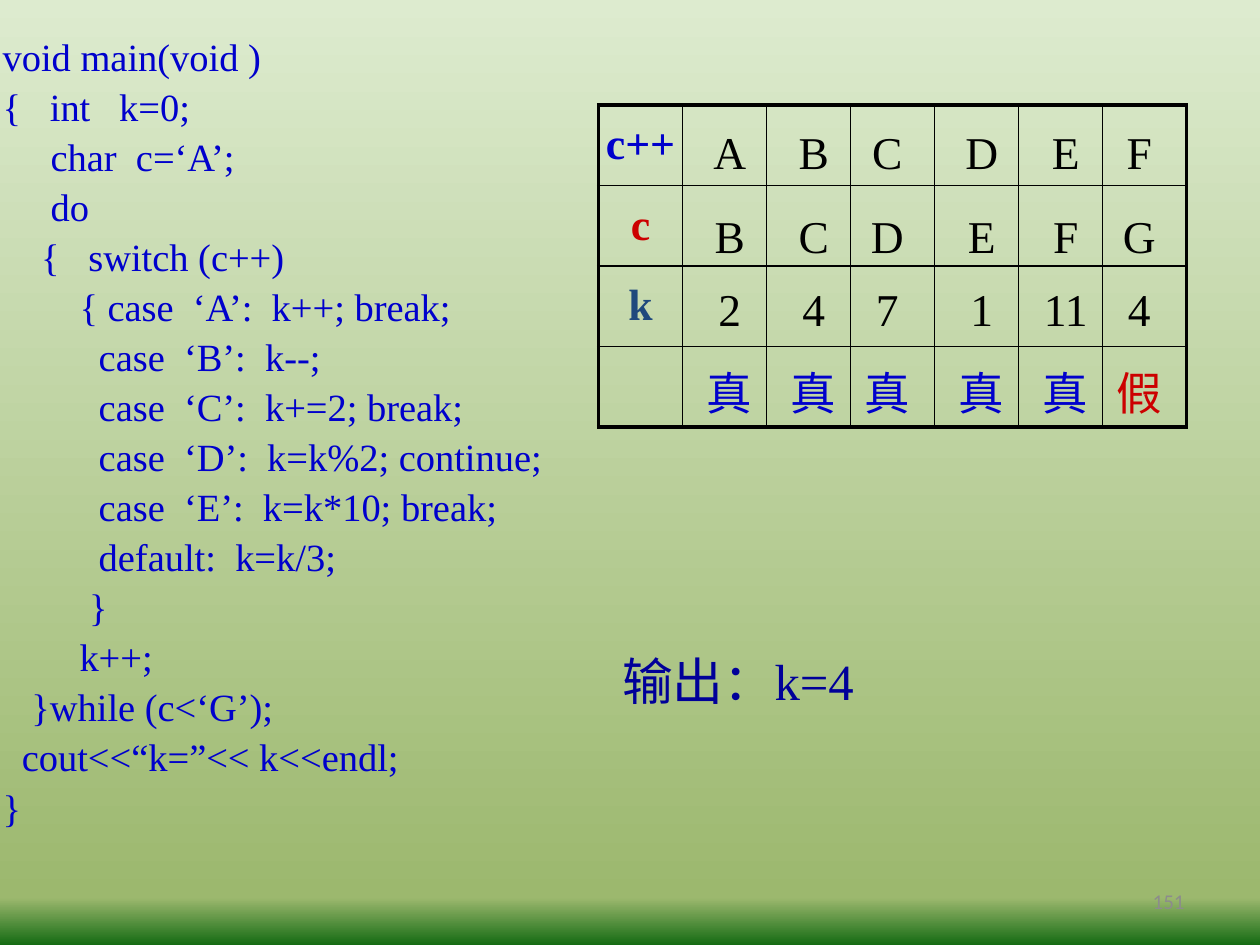
from copy import deepcopy
from dataclasses import dataclass

from lxml.etree import SubElement
from pptx import Presentation
from pptx.dml.color import RGBColor
from pptx.enum.text import MSO_ANCHOR, PP_ALIGN
from pptx.oxml.ns import qn
from pptx.util import Pt


@dataclass(frozen=True)
class Theme:
    serif: str = "Times New Roman"
    sans: str = "Calibri"
    blue: str = "0000CC"
    navy: str = "000099"
    steel: str = "1F497D"
    red: str = "CC0000"
    black: str = "000000"
    grey: str = "8C8C8C"
    backdrop: tuple = ((0, "DDEBCF"), (0.95, "9CB86E"), (1, "156B13"))
    code_size: float = 22
    code_pitch: float = 28.6
    label_size: float = 25
    value_size: float = 26
    answer_size: float = 29
    number_size: float = 12
    tall_line: float = 1.35
    thin: float = 1
    thick: float = 2.25


THEME = Theme()

CODE = """void main(void )
{   int   k=0;
     char  c=‘A’;
     do
    {   switch (c++)
        { case  ‘A’:  k++; break;
          case  ‘B’:  k--;
          case  ‘C’:  k+=2; break;
          case  ‘D’:  k=k%2; continue;
          case  ‘E’:  k=k*10; break;
          default:  k=k/3;
         }
        k++;
   }while (c<‘G’);
  cout<<“k=”<< k<<endl;
}"""

ROW_LABELS = (("c++", THEME.blue), ("c", THEME.red), ("k", THEME.steel), ("", THEME.black))
TRACE = (
    ("A", "B", "C", "D", "E", "F"),
    ("B", "C", "D", "E", "F", "G"),
    ("2", "4", "7", "1", "11", "4"),
    ("真", "真", "真", "真", "真", "假"),
)
VERDICT_COLOURS = {"真": THEME.blue, "假": THEME.red}
VALUE_LEFTS = (402, 450, 492, 546, 594, 636)
VALUE_TOPS = (66, 114, 156, 204)


def add_span(para, text, size, colour, font=THEME.serif, bold=False):
    span = para.add_run()
    span.text = text
    span.font.name = font
    span.font.size = Pt(size)
    span.font.bold = bold
    span.font.color.rgb = RGBColor.from_string(colour)


def add_frame(page, box, inset_x=1.5, inset_y=0.75):
    frame = page.shapes.add_textbox(*map(Pt, box)).text_frame
    frame.word_wrap = True
    frame.margin_left = frame.margin_right = Pt(inset_x)
    frame.margin_top = frame.margin_bottom = Pt(inset_y)
    return frame


def add_tall_line(page, box, text, size, colour, align):
    para = add_frame(page, box).paragraphs[0]
    para.alignment = align
    para.line_spacing = Pt(round(size * THEME.tall_line, 1))
    add_span(para, text, size, colour)


def paint_background(page):
    fill = page.background.fill
    fill.gradient()
    fill.gradient_angle = 270
    stop_list = page.element.find(".//" + qn("a:gsLst"))
    stop_list.append(deepcopy(stop_list[0]))
    for stop, (position, colour) in zip(fill.gradient_stops, THEME.backdrop):
        stop.position = position
        stop.color.rgb = RGBColor.from_string(colour)


def add_code(page, box):
    frame = add_frame(page, box)
    for index, line in enumerate(CODE.splitlines()):
        para = frame.add_paragraph() if index else frame.paragraphs[0]
        if index:
            para.line_spacing = Pt(THEME.code_pitch)
        add_span(para, line, THEME.code_size, THEME.blue)


def draw_borders(cell, widths):
    properties = cell._tc.get_or_add_tcPr()
    for side, width in widths.items():
        line = SubElement(properties, qn("a:ln" + side), w=str(int(Pt(width))))
        fill = SubElement(line, qn("a:solidFill"))
        SubElement(fill, qn("a:srgbClr"), val=THEME.black)


def add_trace_table(page, box):
    row_count, column_count = len(TRACE), len(TRACE[0]) + 1
    table = page.shapes.add_table(row_count, column_count, *map(Pt, box)).table
    table.first_row = table.horz_banding = False
    for column in table.columns:
        column.width = Pt(box[2] / column_count)
    for row in table.rows:
        row.height = Pt(box[3] / row_count)

    # Heavy frame, thin inner rules
    for row in range(row_count):
        for column in range(column_count):
            cell = table.cell(row, column)
            edges = {"L": column == 0, "R": column == column_count - 1,
                     "T": row == 0, "B": row == row_count - 1}
            draw_borders(cell, {side: THEME.thick if outer else THEME.thin
                                for side, outer in edges.items()})
            cell.fill.background()

    # Row labels
    for row, (label, colour) in enumerate(ROW_LABELS):
        if label:
            cell = table.cell(row, 0)
            cell.vertical_anchor = MSO_ANCHOR.MIDDLE
            cell.margin_left = cell.margin_right = Pt(1.5)
            cell.margin_top = cell.margin_bottom = Pt(0.75)
            para = cell.text_frame.paragraphs[0]
            para.alignment = PP_ALIGN.CENTER
            add_span(para, label, THEME.label_size, colour, bold=True)


def add_trace_values(page):
    for top, values in zip(VALUE_TOPS, TRACE):
        for left, value in zip(VALUE_LEFTS, values):
            extra = 6 * (len(value) - 1)
            box = (left - extra, top, 30 + 2 * extra, 36)
            colour = VERDICT_COLOURS.get(value, THEME.black)
            add_tall_line(page, box, value, THEME.value_size, colour, PP_ALIGN.CENTER)


def add_page_number(page, box):
    frame = add_frame(page, box, 7.2, 3.6)
    frame.vertical_anchor = MSO_ANCHOR.MIDDLE
    para = frame.paragraphs[0]
    para.alignment = PP_ALIGN.RIGHT
    add_span(para, "151", THEME.number_size, THEME.grey, THEME.sans)


def main():
    deck = Presentation()
    deck.slide_width, deck.slide_height = Pt(720), Pt(540)
    page = deck.slides.add_slide(deck.slide_layouts[6])
    paint_background(page)
    add_page_number(page, (516, 500.5, 168, 28.75))
    add_code(page, (0, 18, 456, 468))
    add_trace_table(page, (342, 60, 336, 184))
    # Program output
    add_tall_line(page, (354, 366, 234, 40), "输出：k=4",
                  THEME.answer_size, THEME.navy, PP_ALIGN.LEFT)
    add_trace_values(page)
    deck.save("out.pptx")


if __name__ == "__main__":
    main()
